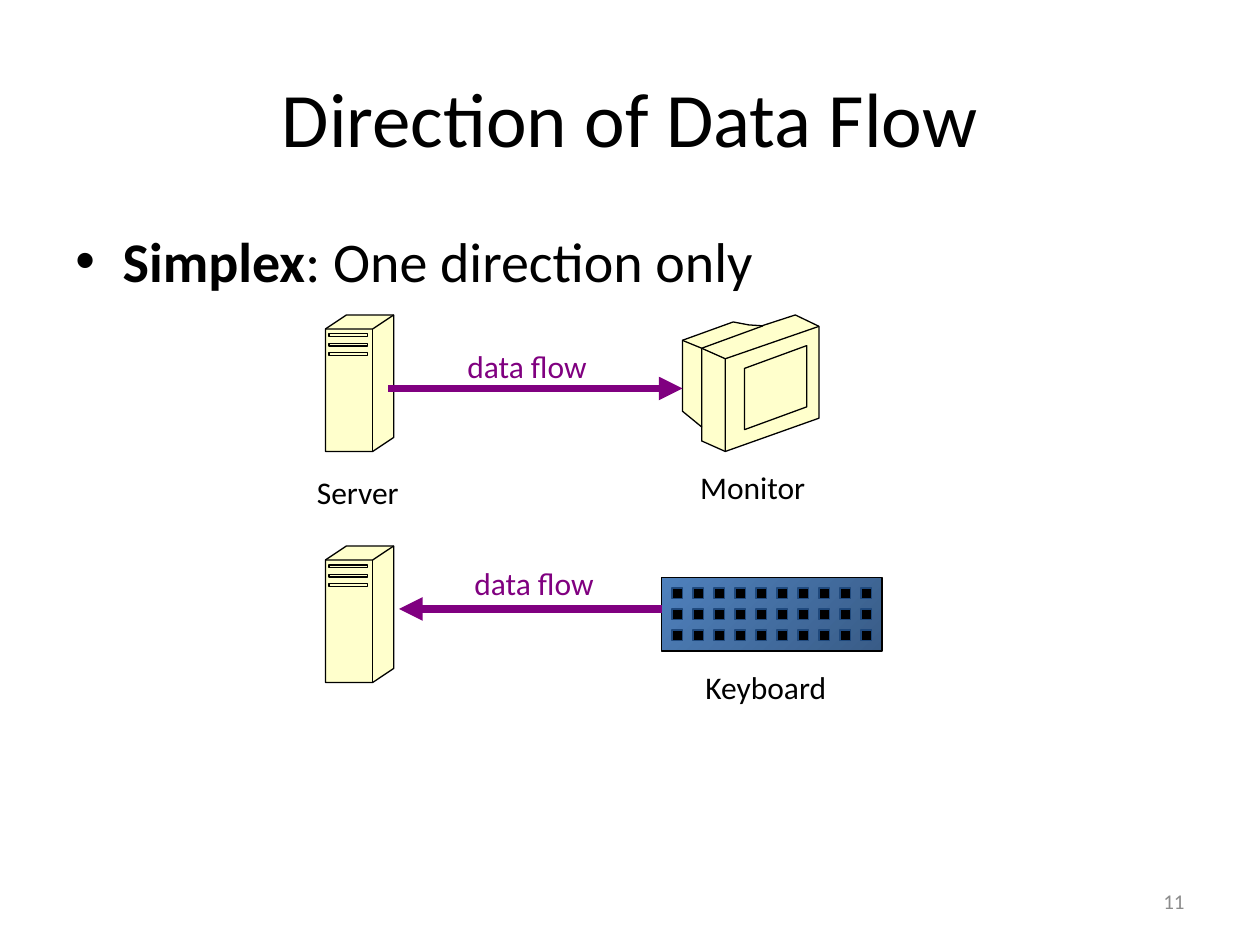
"""Build the "Direction of Data Flow" slide showing simplex links."""
from lxml import etree
from pptx import Presentation
from pptx.dml.color import RGBColor
from pptx.enum.shapes import MSO_CONNECTOR, MSO_SHAPE
from pptx.enum.text import MSO_ANCHOR, MSO_AUTO_SIZE, PP_ALIGN
from pptx.oxml.ns import qn
from pptx.util import Pt

BLACK = RGBColor(0x00, 0x00, 0x00)
GRAY = RGBColor(0x8C, 0x8C, 0x8C)
CREAM = RGBColor(0xFF, 0xFF, 0xCC)
PURPLE = RGBColor(0x80, 0x00, 0x80)
BLUE = RGBColor(0x4F, 0x81, 0xBD)
DARK_BLUE = RGBColor(0x39, 0x5C, 0x87)
NAVY = RGBColor(0x1F, 0x49, 0x7D)
RECT = MSO_SHAPE.RECTANGLE
STRAIGHT = MSO_CONNECTOR.STRAIGHT
TOP, MIDDLE = MSO_ANCHOR.TOP, MSO_ANCHOR.MIDDLE
LEFT, CENTER, RIGHT = PP_ALIGN.LEFT, PP_ALIGN.CENTER, PP_ALIGN.RIGHT
FIXED, GROW = MSO_AUTO_SIZE.NONE, MSO_AUTO_SIZE.SHAPE_TO_FIT_TEXT

prs = Presentation()
prs.slide_width, prs.slide_height = Pt(720), Pt(540)
s = prs.slides.add_slide(prs.slide_layouts[6])


def add_text(box, text, size, color=BLACK, align=LEFT, anchor=TOP, wrap=True):
    tf = s.shapes.add_textbox(*map(Pt, box)).text_frame
    tf.word_wrap = wrap
    tf.auto_size = FIXED if wrap else GROW
    tf.vertical_anchor = anchor
    p = tf.paragraphs[0]
    p.text = text
    p.alignment = align
    for r in p.runs:
        r.font.name = "Calibri"
        r.font.size = Pt(size)
        r.font.color.rgb = color
    return p


def add_outline(x, y, contours, fill=None):
    fb = None
    for start, *rest in contours:
        px, py = map(Pt, start)
        if fb is None:
            fb = s.shapes.build_freeform(px, py, scale=1.0)
        else:
            fb.move_to(px, py)
        fb.add_line_segments([(Pt(a), Pt(b)) for a, b in rest], close=fill is not None)
    sp = fb.convert_to_shape(Pt(x), Pt(y))
    sp.shadow.inherit = False
    if fill is None:
        sp.fill.background()
    else:
        sp.fill.solid()
        sp.fill.fore_color.rgb = fill
    sp.line.color.rgb = BLACK
    sp.line.width = Pt(0.75)


add_text((516, 500.5, 168, 28.75), "11", 12, GRAY, RIGHT, MIDDLE)
add_text((36, 21.6, 648, 90), "Direction of Data Flow", 44, align=CENTER, anchor=MIDDLE)

p = add_text((36, 126, 648, 356), "Simplex", 32)
pPr = p._p.get_or_add_pPr()
pPr.set("marL", str(Pt(27)))
pPr.set("indent", str(-Pt(27)))
etree.SubElement(pPr, qn("a:buFont"), typeface="Arial")
etree.SubElement(pPr, qn("a:buChar"), char="•")
p.runs[0].font.bold = True
r = p.add_run()
r.text = ": One direction only"
r.font.name = "Calibri"
r.font.size = Pt(32)
r.font.color.rgb = BLACK

server_body = [(0, 8), (12, 0), (39, 0), (39, 70), (27, 78), (0, 78)]
server_edges = [[(0, 8), (27, 8), (39, 0)], [(27, 8), (27, 78)]]
for y in (10.8, 16.2, 21.6):
    server_edges.append([(2, y), (24.2, y), (24.2, y + 1.5), (2, y + 1.5), (2, y)])
for y in (180, 312):
    add_outline(186, y, [server_body], CREAM)
    add_outline(186, y, server_edges)

monitor_body = [(24.5, 78), (11, 72), (11, 64), (0, 55), (0, 14.5), (29, 4),
                (38, 5.7), (45.5, 6.2), (64.5, 0), (78, 6.5), (78, 59)]
monitor_edges = [
    [(0, 14.5), (11, 19), (24.5, 25)],
    [(71, 52.5), (71, 17.5), (35.5, 30.5), (35.5, 65.5), (71, 52.5)],
    [(11, 64), (11, 19), (46, 6.2)],
    [(78, 6.5), (24.5, 25), (24.5, 78)],
]
add_outline(390, 180, [monitor_body], CREAM)
add_outline(390, 180, monitor_edges)

keyboard = s.shapes.add_shape(RECT, Pt(378), Pt(330), Pt(126), Pt(42))
keyboard.shadow.inherit = False
keyboard.fill.gradient()
keyboard.fill.gradient_angle = 315
for stop, color in zip(keyboard.fill.gradient_stops, (BLUE, DARK_BLUE)):
    stop.color.rgb = color
keyboard.line.color.rgb = BLACK
keyboard.line.width = Pt(0.75)

for row in range(3):
    for col in range(10):
        key = s.shapes.add_shape(RECT, Pt(384 + 12 * col), Pt(336 + 12 * row), Pt(6), Pt(6))
        key.shadow.inherit = False
        key.fill.solid()
        key.fill.fore_color.rgb = BLACK
        key.line.color.rgb = NAVY
        key.line.width = Pt(0.75)

for x1, x2, y in ((222, 390, 222), (378, 228, 348)):
    flow = s.shapes.add_connector(STRAIGHT, Pt(x1), Pt(y), Pt(x2), Pt(y))
    flow.line.color.rgb = PURPLE
    flow.line.width = Pt(4.5)
    etree.SubElement(flow.line._get_or_add_ln(), qn("a:tailEnd"), type="triangle")
    etree.SubElement(flow._element.spPr, qn("a:effectLst"))

for text, x, y, w, color in (
    ("Server", 174, 266.5, 66, BLACK),
    ("Monitor", 393, 264, 76, BLACK),
    ("Keyboard", 396, 378, 89, BLACK),
    ("data flow", 260, 194.5, 88, PURPLE),
    ("data flow", 264, 319, 88, PURPLE),
):
    add_text((x, y, w, 29), text, 18, color, wrap=False)

prs.save("out.pptx")
